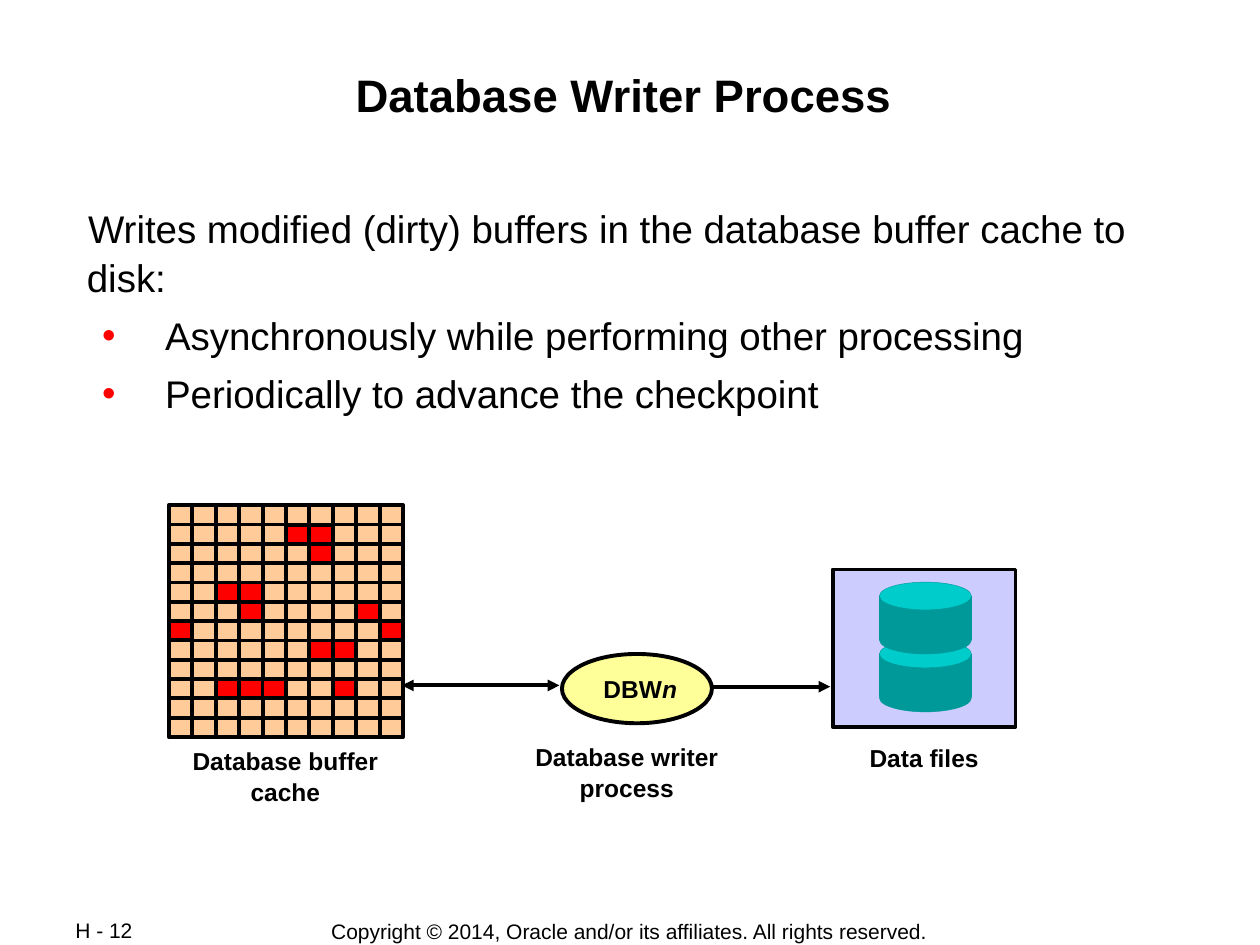
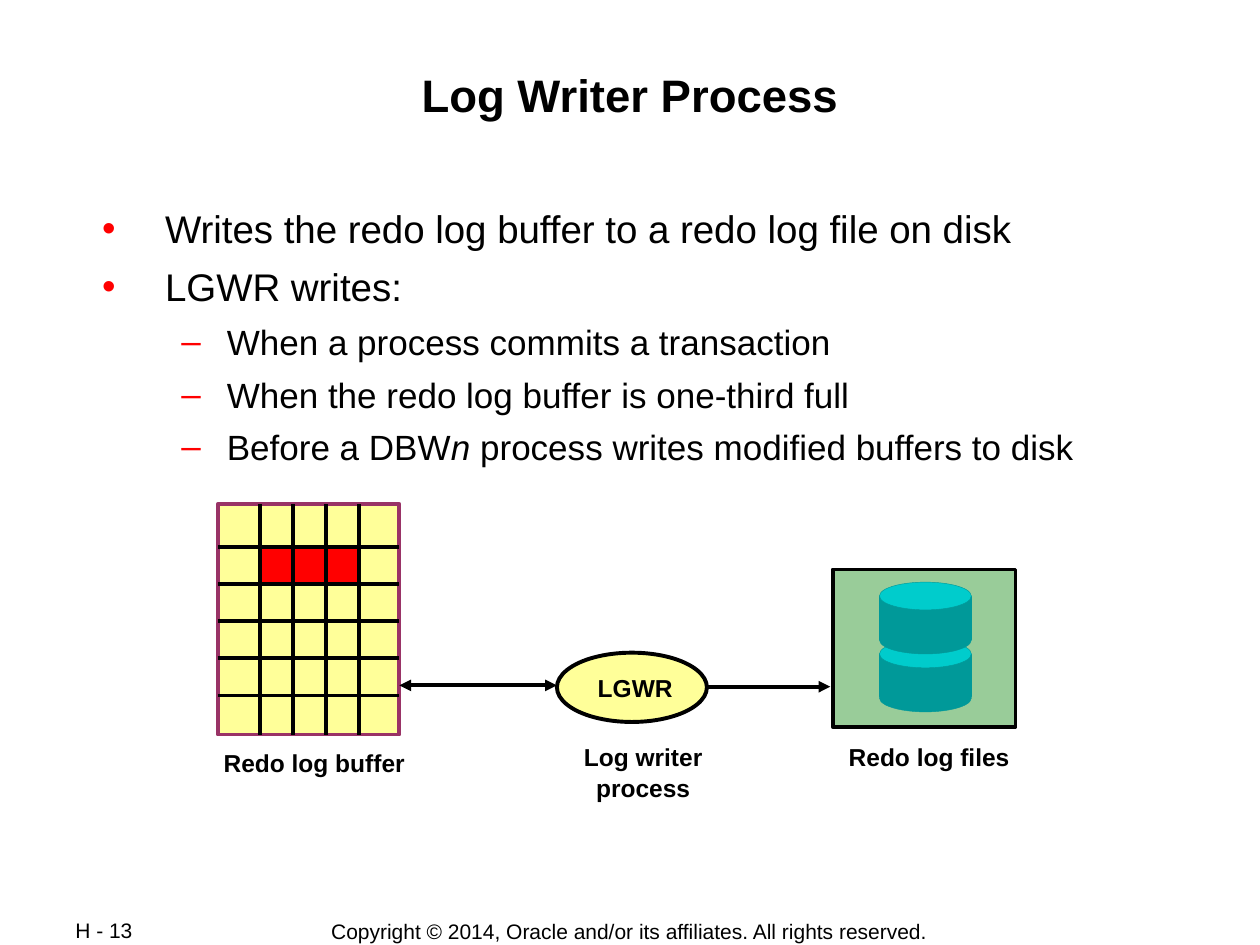
import pptx
import pptx.dml.color
import pptx.enum.shapes
import pptx.enum.text
import pptx.oxml
import pptx.oxml.ns
import pptx.util

Inches = pptx.util.Inches
Pt = pptx.util.Pt
SHAPE = pptx.enum.shapes.MSO_SHAPE
ALIGN = pptx.enum.text.PP_ALIGN
ANCHOR = pptx.enum.text.MSO_ANCHOR

COLORS = {
    "ink": "000000",
    "dirty": "FF0000",
    "process": "FFFF99",
    "cache": "FFCC99",
    "log_edge": "993366",
    "data_files": "CCCCFF",
    "log_files": "99CC99",
    "disk_side": "009999",
    "disk_top": "00CCCC",
}
FONT = "Arial"
LINE_WIDTH = 2.25
COPYRIGHT = "Copyright © 2014, Oracle and/or its affiliates. All rights reserved."
LIST_STYLES = {
    "plain": {"margin": 0.01, "indent": 0.01, "size": 22, "before": 5.5, "bullet": None},
    "bullet": {"margin": 0.63, "indent": -0.5, "size": 22, "before": 5.5, "bullet": "•"},
    "dash": {"margin": 1.12, "indent": -0.36, "size": 20, "before": 5, "bullet": "–"},
}


def rgb(name):
    return pptx.dml.color.RGBColor.from_string(COLORS[name])


def add_xml(parent, tag, **attributes):
    element = pptx.oxml.parse_xml(f"<a:{tag} {pptx.oxml.ns.nsdecls('a')}/>")
    for key, value in attributes.items():
        element.set(key, str(value))
    parent.append(element)
    return element


class ProcessDeck:
    def __init__(self):
        self.deck = pptx.Presentation()
        self.deck.slide_width = Inches(10)
        self.deck.slide_height = Inches(7.5)
        self.page = None

    def start_page(self, number, title, items, body_height):
        self.page = self.deck.slides.add_slide(self.deck.slide_layouts[1])
        self.text(2.75, 7.28, 4.49, 0.21, [COPYRIGHT], 12, wrap=False, anchor=ANCHOR.MIDDLE)
        self.text(0.5, 7.28, 1.06, 0.2, [f"H - {number}"], 12,
                  align=ALIGN.LEFT, anchor=ANCHOR.MIDDLE)
        self.title(title)
        self.list(items, body_height)

    def place(self, box, left, top, width, height):
        box.left, box.top = Inches(left), Inches(top)
        box.width, box.height = Inches(width), Inches(height)

    def frame(self, box, insets, anchor, wrap=True):
        frame = box.text_frame
        frame.auto_size = pptx.enum.text.MSO_AUTO_SIZE.NONE
        frame.word_wrap = wrap
        frame.vertical_anchor = anchor
        frame.margin_left = frame.margin_right = Inches(insets[0])
        frame.margin_top = frame.margin_bottom = Inches(insets[1])
        return frame

    def spans(self, para, texts, size, bold=False):
        for text in texts:
            italic = isinstance(text, tuple)
            span = para.add_run()
            span.text = text[0] if italic else text
            span.font.name = FONT
            span.font.size = Pt(size)
            span.font.bold = bold
            span.font.italic = italic
            span.font.color.rgb = rgb("ink")

    def title(self, text):
        box = self.page.shapes.title
        self.place(box, 0.67, 0.48, 8.66, 0.96)
        para = self.frame(box, (0.01, 0.03), ANCHOR.TOP).paragraphs[0]
        para.alignment = ALIGN.CENTER
        para.line_spacing = 1.05
        self.spans(para, [text], 26, bold=True)

    def list(self, items, height):
        box = self.page.placeholders[1]
        self.place(box, 0.67, 1.58, 8.66, height)
        frame = self.frame(box, (0.01, 0.03), ANCHOR.TOP)
        for index, (kind, texts) in enumerate(items):
            style = LIST_STYLES[kind]
            para = frame.paragraphs[0] if index == 0 else frame.add_paragraph()
            para.level = list(LIST_STYLES).index(kind)
            para.line_spacing = 1.05
            para.space_before = Pt(style["before"] if index else 0)
            properties = para._p.get_or_add_pPr()
            properties.set("marL", str(Inches(style["margin"])))
            properties.set("indent", str(Inches(style["indent"])))
            if style["bullet"]:
                color = add_xml(properties, "buClr")
                add_xml(color, "srgbClr", val=COLORS["dirty"])
                add_xml(properties, "buFont", typeface=FONT)
                add_xml(properties, "buChar", char=style["bullet"])
            else:
                add_xml(properties, "buNone")
            self.spans(para, texts, style["size"])

    def text(self, left, top, width, height, texts, size, bold=False,
             align=ALIGN.CENTER, anchor=ANCHOR.TOP, wrap=True):
        box = self.page.shapes.add_textbox(
            Inches(left), Inches(top), Inches(width), Inches(height))
        para = self.frame(box, (0.1, 0.05), anchor, wrap).paragraphs[0]
        para.alignment = align
        para.line_spacing = 1.05
        self.spans(para, texts, size, bold)

    def label(self, left, top, text, height=0.34):
        self.text(left, top, 1.83, height, [text], 14, bold=True)

    def shape(self, kind, left, top, width, height, fill,
              edge="ink", weight=LINE_WIDTH, group=None):
        box = (group or self.page).shapes.add_shape(
            kind, Inches(left), Inches(top), Inches(width), Inches(height))
        box.shadow.inherit = False
        box.fill.solid()
        box.fill.fore_color.rgb = rgb(fill)
        box.line.color.rgb = rgb(edge)
        box.line.width = Pt(weight)
        return box

    def line(self, x1, y1, x2, y2, arrows=(), group=None):
        line = (group or self.page).shapes.add_connector(
            pptx.enum.shapes.MSO_CONNECTOR.STRAIGHT,
            Inches(x1), Inches(y1), Inches(x2), Inches(y2))
        line.line.color.rgb = rgb("ink")
        line.line.width = Pt(LINE_WIDTH)
        for end in arrows:
            add_xml(line.line._get_or_add_ln(), end, type="triangle")
        add_xml(line._element.spPr, "effectLst")

    def buffer_grid(self, columns, rows, dirty_cells, fill, edge="ink"):
        group = self.page.shapes.add_group_shape()
        left, right, top, bottom = columns[0], columns[-1], rows[0], rows[-1]
        self.shape(SHAPE.RECTANGLE, left, top, right - left, bottom - top,
                   fill, edge, group=group)
        for x in columns[1:-1]:
            self.line(x, top, x, bottom, group=group)
        for y in rows[1:-1]:
            self.line(left, y, right, y, group=group)
        for column, row in dirty_cells:
            x, y = columns[column], rows[row]
            self.shape(SHAPE.RECTANGLE, x, y, columns[column + 1] - x,
                       rows[row + 1] - y, "dirty", group=group)

    def disk(self, top):
        group = self.page.shapes.add_group_shape()
        for kind, offset, height, fill in (
                (SHAPE.RECTANGLE, 0.11, 0.34, "disk_side"),
                (SHAPE.OVAL, 0, 0.22, "disk_top"),
                (SHAPE.OVAL, 0.35, 0.22, "disk_side")):
            self.shape(kind, 6.98, top + offset, 0.73, height, fill, "disk_side", 0.25, group)

    def files(self, fill):
        self.shape(SHAPE.RECTANGLE, 6.61, 4.52, 1.45, 1.25, fill)
        for top in (5.08, 4.62):
            self.disk(top)

    def process(self, left, top, texts, buffer_right):
        self.line(buffer_right, 5.44, buffer_right + 1.25, 5.44, ("headEnd", "tailEnd"))
        self.line(5.62, 5.45, 6.59, 5.45, ("tailEnd",))
        oval = self.shape(SHAPE.OVAL, left, top, 1.19, 0.55, "process")
        para = self.frame(oval, (0.1, 0.05), ANCHOR.MIDDLE, wrap=False).paragraphs[0]
        para.alignment = ALIGN.CENTER
        self.spans(para, texts, 14, bold=True)


def database_writer(show):
    show.start_page(12, "Database Writer Process ", [
        ("plain", ["Writes modified (dirty) buffers in the database buffer cache to disk:"]),
        ("bullet", ["Asynchronously while performing other processing"]),
        ("bullet", ["Periodically to advance the checkpoint"]),
    ], 1.65)
    show.files("data_files")
    columns = [1.34 + 1.86 * step / 10 for step in range(11)]
    rows = [4.01 + 1.84 * step / 12 for step in range(13)]
    dirty_cells = [(5, 1), (6, 1), (6, 2), (2, 4), (3, 4), (3, 5), (8, 5), (0, 6),
                   (9, 6), (6, 7), (7, 7), (2, 9), (3, 9), (4, 9), (7, 9)]
    show.buffer_grid(columns, rows, dirty_cells, "cache")
    show.process(4.46, 5.19, [" DBW", ("n",)], 3.19)
    show.label(1.35, 5.86, "Database buffer cache", 0.57)
    show.label(4.06, 5.83, "Database writer process", 0.57)
    show.label(6.42, 5.84, "Data files")


def log_writer(show):
    show.start_page(13, "Log Writer Process", [
        ("bullet", ["Writes the redo log buffer to a redo log file on disk"]),
        ("bullet", ["LGWR writes:"]),
        ("dash", ["When a process commits a transaction"]),
        ("dash", ["When the redo log buffer is one-third full"]),
        ("dash", ["Before a DBW", ("n",), " process writes modified buffers to disk"]),
    ], 2.05)
    show.files("log_files")
    columns = [1.73, *(2.06 + 0.79 * step / 3 for step in range(4)), 3.17]
    rows = [4, *(4.34 + 1.18 * step / 4 for step in range(5)), 5.83]
    show.buffer_grid(columns, rows, [(column, 1) for column in (1, 2, 3)],
                     "process", "log_edge")
    show.process(4.42, 5.18, [" LGWR"], 3.17)
    show.label(1.58, 5.88, "Redo log buffer")
    show.label(4.19, 5.83, "Log writer process", 0.57)
    show.label(6.46, 5.83, "Redo log files")


def main():
    show = ProcessDeck()
    database_writer(show)
    log_writer(show)
    show.deck.save("out.pptx")


if __name__ == "__main__":
    main()
